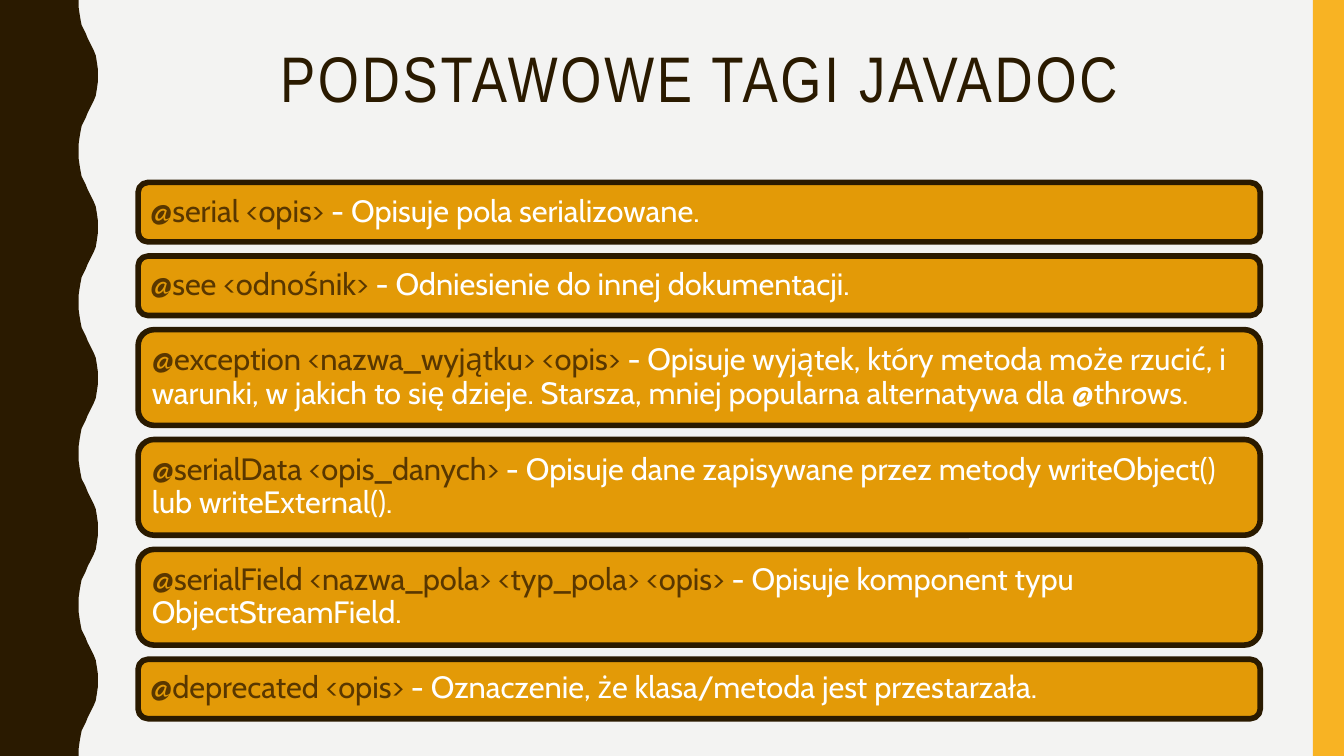
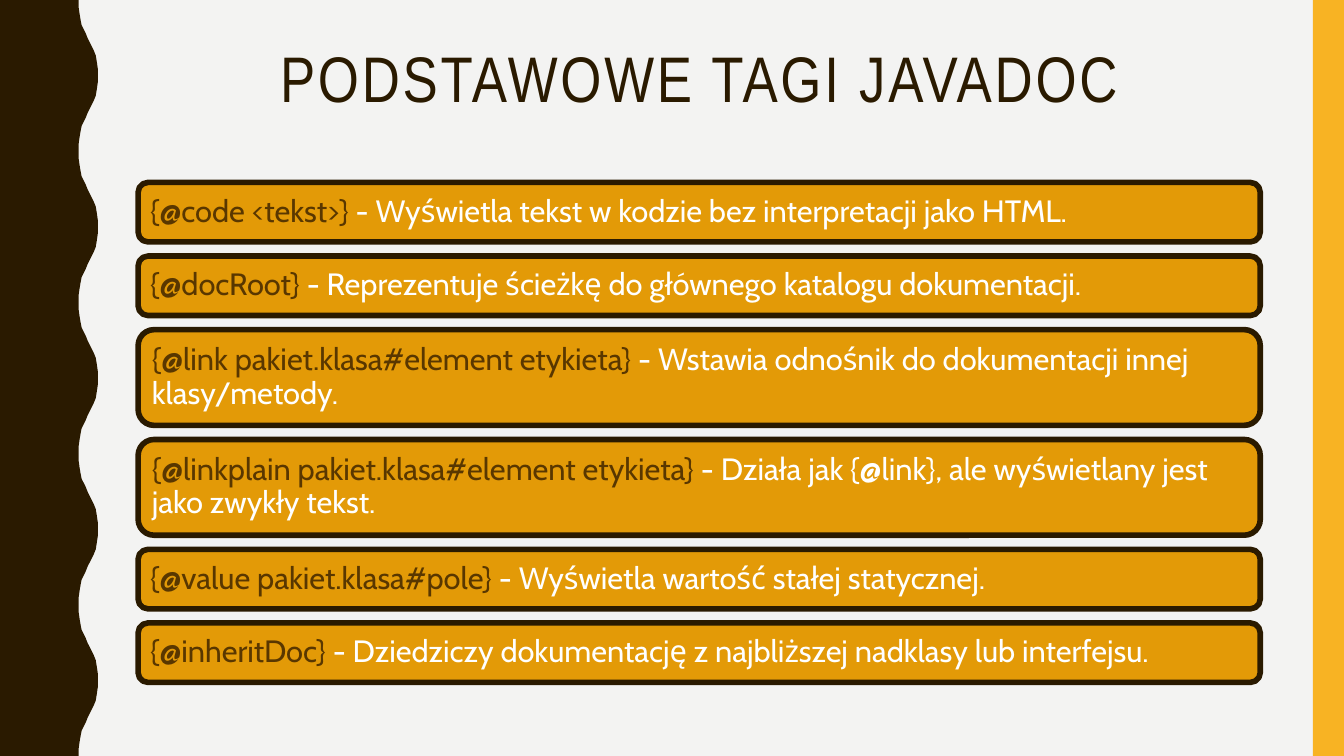
from dataclasses import dataclass

from pptx import Presentation
from pptx.dml.color import RGBColor
from pptx.enum.shapes import MSO_SHAPE
from pptx.enum.text import MSO_ANCHOR, PP_ALIGN
from pptx.util import Inches, Pt

RECT, ROUND_RECT = MSO_SHAPE.RECTANGLE, MSO_SHAPE.ROUNDED_RECTANGLE
TOP, MIDDLE = MSO_ANCHOR.TOP, MSO_ANCHOR.MIDDLE
LEFT, CENTER = PP_ALIGN.LEFT, PP_ALIGN.CENTER


@dataclass(frozen=True)
class Theme:
    background: str = "F3F3F2"
    dark: str = "2A1A00"
    stripe: str = "F8B323"
    card: str = "E39A07"
    tag: str = "593700"
    light: str = "FFFFFF"
    title_font: str = "Arial Narrow"
    body_font: str = "Cabin"
    title_size: float = 46
    body_size: float = 22
    title_tracking: float = 2
    border: float = 4
    line_spacing: float = 0.9


THEME = Theme()
SLIDE_W, SLIDE_H = 13.33, 7.5
STRIPE_W = 0.31
CONTENT_X, CONTENT_W = 1.37, 11.13
TITLE_BOX = (CONTENT_X, 0.42, CONTENT_W, 1.63)
CARDS_BOX = (CONTENT_X, 1.81, CONTENT_W)
CARD_HEIGHTS = {1: 0.59, 2: 0.95}  # by number of text lines
CARD_GAP = 0.14
CARD_INSET = 0.09

WAVE_PERIOD = 1.5
# (x, y) from a trough to just before the following crest
WAVE_RISE = [
    (0.78, 0), (0.78, 0.07), (0.79, 0.14), (0.8, 0.2), (0.81, 0.25),
    (0.83, 0.29), (0.85, 0.33), (0.87, 0.38), (0.89, 0.42), (0.91, 0.46),
    (0.93, 0.5), (0.95, 0.55), (0.96, 0.61), (0.97, 0.68),
]
WAVE_CREST = (0.97, WAVE_PERIOD / 2)

TITLE = "PODSTAWOWE TAGI JAVADOC"
# For each slide: (tag, description, number of text lines)
SLIDES = [
    [
        ("@serial <opis>", "Opisuje pola serializowane.", 1),
        ("@see <odnośnik>", "Odniesienie do innej dokumentacji.", 1),
        ("@exception <nazwa_wyjątku> <opis>",
         "Opisuje wyjątek, który metoda może rzucić, i warunki, w jakich to się "
         "dzieje. Starsza, mniej popularna alternatywa dla @throws.", 2),
        ("@serialData <opis_danych>",
         "Opisuje dane zapisywane przez metody writeObject() "
         "lub writeExternal().", 2),
        ("@serialField <nazwa_pola> <typ_pola> <opis>",
         "Opisuje komponent typu ObjectStreamField.", 2),
        ("@deprecated <opis>",
         "Oznaczenie, że klasa/metoda jest przestarzała.", 1),
    ],
    [
        ("{@code <tekst>}",
         "Wyświetla tekst w kodzie bez interpretacji jako HTML.", 1),
        ("{@docRoot}",
         "Reprezentuje ścieżkę do głównego katalogu dokumentacji.", 1),
        ("{@link pakiet.klasa#element etykieta}",
         "Wstawia odnośnik do dokumentacji innej klasy/metody.", 2),
        ("{@linkplain pakiet.klasa#element etykieta}",
         "Działa jak {@link}, ale wyświetlany jest jako zwykły tekst.", 2),
        ("{@value pakiet.klasa#pole}",
         "Wyświetla wartość stałej statycznej.", 1),
        ("{@inheritDoc}",
         "Dziedziczy dokumentację z najbliższej nadklasy lub interfejsu.", 1),
    ],
]


def rgb(color):
    return RGBColor.from_string(color)


def paint(sp, fill, line=None):
    sp.shadow.inherit = False
    sp.fill.solid()
    sp.fill.fore_color.rgb = rgb(fill)
    if line:
        sp.line.color.rgb = rgb(line)
        sp.line.width = Pt(THEME.border)
    else:
        sp.line.fill.background()


def add_box(slide, kind, box, fill, line=None):
    sp = slide.shapes.add_shape(kind, *map(Inches, box))
    paint(sp, fill, line)
    return sp


def write(sp, runs, *, font, size, align=LEFT, anchor=TOP, inset=None, tracking=0):
    """Fill a shape with one paragraph made of (text, colour) runs."""
    tf = sp.text_frame
    tf.word_wrap = True
    tf.vertical_anchor = anchor
    if inset is not None:
        tf.margin_left = tf.margin_right = Inches(inset)
        tf.margin_top = tf.margin_bottom = Inches(inset)
    p = tf.paragraphs[0]
    p.alignment = align
    p.line_spacing = THEME.line_spacing
    for text, color in runs:
        r = p.add_run()
        r.text = text
        r.font.name = font
        r.font.size = Pt(size)
        r.font.color.rgb = rgb(color)
        if tracking:
            r.font._element.set("spc", str(int(tracking * 100)))


def add_wavy_band(slide):
    fall = [(x, WAVE_PERIOD - y) for x, y in reversed(WAVE_RISE[1:])]
    wave = WAVE_RISE + [WAVE_CREST] + fall
    edge = [(x, y + i * WAVE_PERIOD)
            for i in range(round(SLIDE_H / WAVE_PERIOD)) for x, y in wave]
    outline = edge + [(WAVE_RISE[0][0], SLIDE_H), (0, SLIDE_H)]
    builder = slide.shapes.build_freeform(0, 0)
    builder.add_line_segments([(Inches(x), Inches(y)) for x, y in outline])
    paint(builder.convert_to_shape(), THEME.dark)


def add_frame(slide):
    """Background and the two side bands."""
    slide.background.fill.solid()
    slide.background.fill.fore_color.rgb = rgb(THEME.background)
    add_wavy_band(slide)
    add_box(slide, RECT, (SLIDE_W - STRIPE_W, 0, STRIPE_W, SLIDE_H), THEME.stripe)


def add_title(slide, box, text):
    sp = slide.shapes.add_textbox(*map(Inches, box))
    write(sp, [(text, THEME.dark)], font=THEME.title_font, size=THEME.title_size,
          align=CENTER, tracking=THEME.title_tracking)


def add_cards(slide, box, cards):
    x, y, w = box
    for tag, description, lines in cards:
        h = CARD_HEIGHTS[lines]
        sp = add_box(slide, ROUND_RECT, (x, y, w, h), THEME.card, THEME.dark)
        write(sp, [(f"{tag} ", THEME.tag), (f"- {description}", THEME.light)],
              font=THEME.body_font, size=THEME.body_size,
              anchor=MIDDLE, inset=CARD_INSET)
        y += h + CARD_GAP


def main():
    prs = Presentation()
    prs.slide_width, prs.slide_height = Inches(SLIDE_W), Inches(SLIDE_H)
    for cards in SLIDES:
        slide = prs.slides.add_slide(prs.slide_layouts[6])
        add_frame(slide)
        add_title(slide, TITLE_BOX, TITLE)
        add_cards(slide, CARDS_BOX, cards)
    prs.save("out.pptx")


if __name__ == "__main__":
    main()
